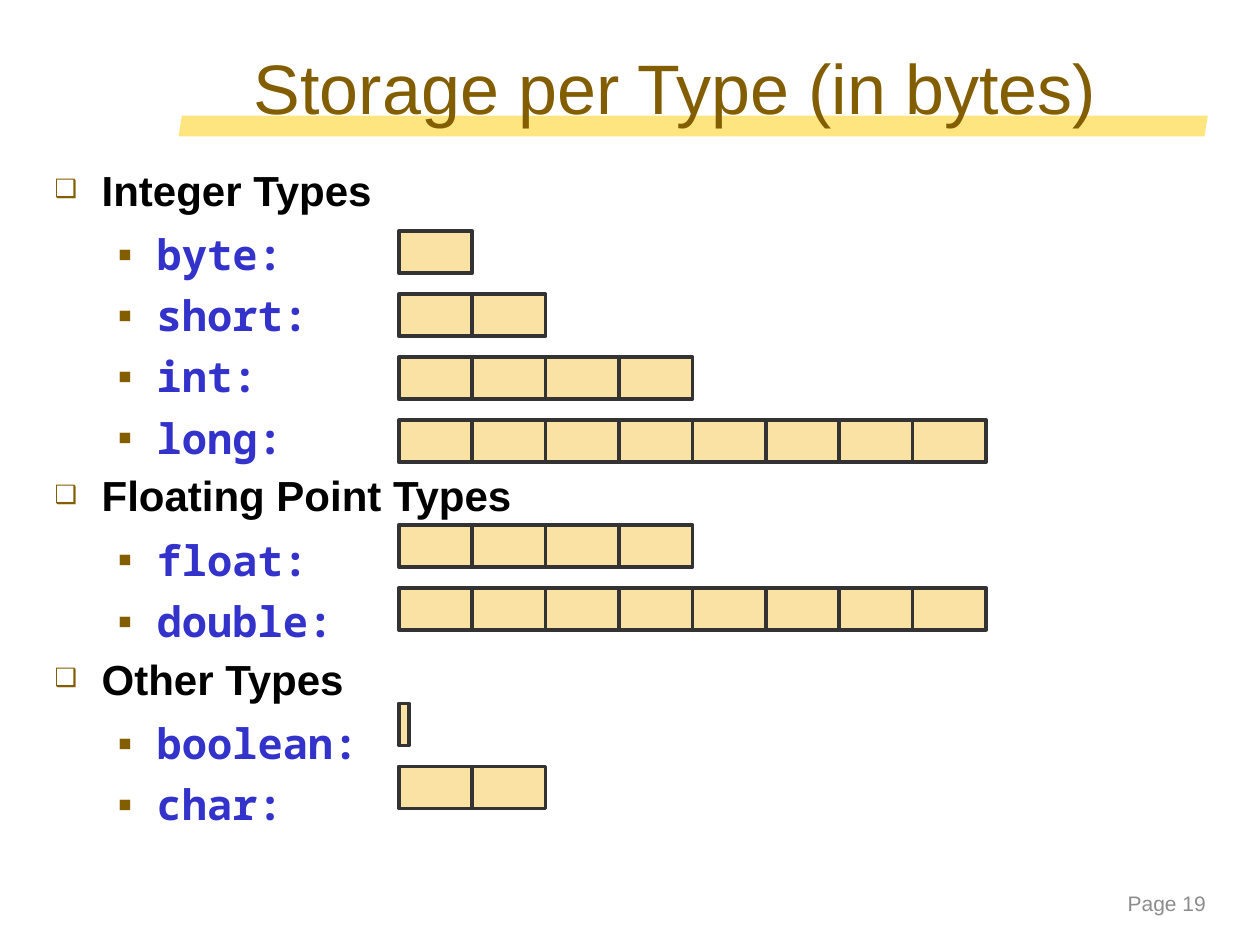
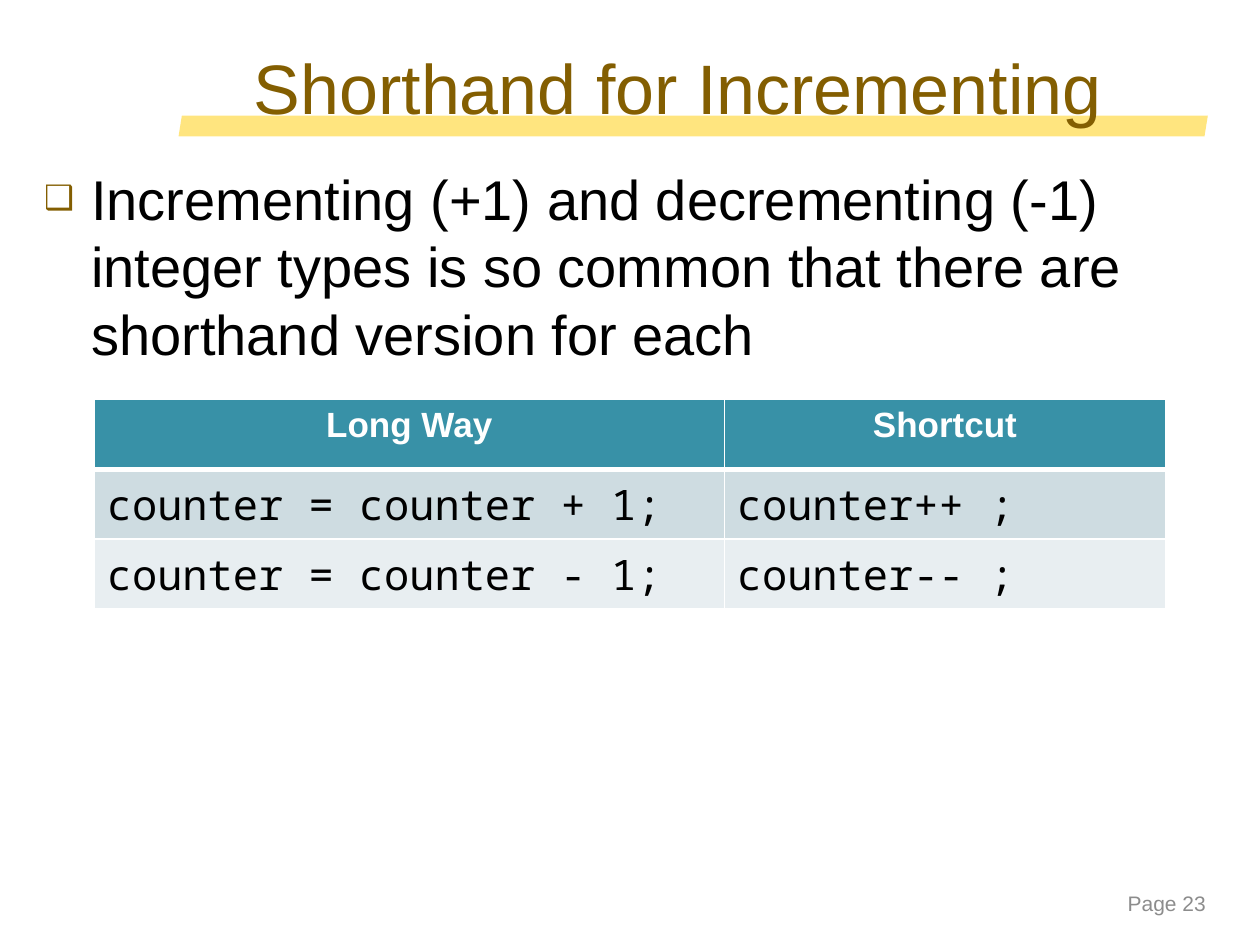
"""Two lesson slides: storage size per type, and shorthand for incrementing."""
from lxml.etree import SubElement as Sub
from pptx import Presentation
from pptx.dml.color import RGBColor as RGB
from pptx.enum.shapes import MSO_SHAPE as Shape
from pptx.enum.text import MSO_ANCHOR as Anchor, PP_ALIGN as Align
from pptx.oxml.ns import qn
from pptx.util import Cm, Pt

BROWN = RGB(0x83, 0x5E, 0x01)
GOLD = RGB(0xFF, 0xCC, 0x00)
SAND = RGB(0xFA, 0xE1, 0xA4)
DARK = RGB(0x33, 0x33, 0x33)
BLUE = RGB(0x33, 0x33, 0xCC)
GRAY = RGB(0x8C, 0x8C, 0x8C)
BLACK = RGB(0, 0, 0)
WHITE = RGB(0xFF, 0xFF, 0xFF)
TEAL = RGB(0x38, 0x91, 0xA7)
BANDS = [RGB(0xCE, 0xDC, 0xE1), RGB(0xE8, 0xEE, 0xF1)]
SANS, MONO = "Arial", "Noto Sans Mono"

LEFT, WIDTH, HEIGHT, PITCH = 8.04, 1.48, 0.85, 1.27
BIT = 0.21
GROUPS = [
    ("Integer Types", 4.66, [("byte:", 1), ("short:", 2), ("int:", 4), ("long:", 8)]),
    ("Floating Point Types", 10.58, [("float:", 4), ("double:", 8)]),
    ("Other Types", 14.18, [("boolean:", 0), ("char:", 2)]),
]
ROWS = [
    ("Long Way", "Shortcut"),
    ("counter = counter + 1;", "counter++ ;"),
    ("counter = counter - 1;", "counter-- ;"),
]


def style(para, size, color, face=SANS, bold=False):
    """Set the font of a paragraph."""
    font = para.font
    font.size, font.name, font.bold = Pt(size), face, bold
    font.color.rgb = color


def frame(slide, x, y, w, h, anchor=Anchor.TOP):
    """Add a wrapping text box and return its text frame."""
    text = slide.shapes.add_textbox(Cm(x), Cm(y), Cm(w), Cm(h)).text_frame
    text.word_wrap = True
    text.vertical_anchor = anchor
    return text


def bullet(para, sign, margin, hang, scale):
    """Give a paragraph a hanging brown bullet."""
    props = para._p.get_or_add_pPr()
    props.set("marL", str(Cm(margin)))
    props.set("indent", str(-Cm(hang)))
    Sub(Sub(props, qn("a:buClr")), qn("a:srgbClr"), val=str(BROWN))
    Sub(props, qn("a:buSzPct"), val=str(scale * 1000))
    Sub(props, qn("a:buFont"), typeface=SANS)
    Sub(props, qn("a:buChar"), char=sign)


def head(para, text, size, line, bold=False):
    """Write a top-level bulleted paragraph."""
    para.text = text
    para.line_spacing = Pt(line)
    para.space_before, para.space_after = Pt(4), Pt(2)
    bullet(para, "❑", 0.95, 0.95, 60)
    style(para, size, BLACK, bold=bold)


def item(para, text):
    """Write a second-level paragraph naming a type."""
    para.text, para.level = text, 1
    para.line_spacing, para.space_before = Pt(28.9), Pt(6)
    bullet(para, "▪", 2.06, 0.79, 100)
    style(para, 24, BLUE, MONO, True)


def box(slide, kind, x, y, w, h, color):
    """Add a flat filled shape without a line."""
    shape = slide.shapes.add_shape(kind, Cm(x), Cm(y), Cm(w), Cm(h))
    shape.shadow.inherit = False
    shape.fill.solid()
    shape.fill.fore_color.rgb = color
    shape.line.fill.background()
    return shape


def base(deck, title, page):
    """Add a slide with the gold stroke, title and page number."""
    slide = deck.slides.add_slide(deck.slide_layouts[6])
    stroke = box(slide, Shape.PARALLELOGRAM, 3.6, 2.33, 20.75, 0.42, GOLD)
    stroke.adjustments[0] = 0.16
    tint = stroke._element.spPr.find(".//" + qn("a:srgbClr"))
    Sub(tint, qn("a:alpha"), val="50000")
    para = frame(slide, 4.87, 0.76, 19.69, 1.98, Anchor.MIDDLE).paragraphs[0]
    para.text = title
    style(para, 40, BROWN)
    para = frame(slide, 20.11, 17.78, 4.45, 0.85, Anchor.MIDDLE).paragraphs[0]
    para.text, para.alignment = f"Page {page}", Align.RIGHT
    style(para, 12, GRAY)
    return slide


def cells(slide, y, count):
    """Draw one box per byte, or a sliver for less than a byte."""
    for i in range(max(count, 1)):
        wide = WIDTH if count else BIT
        cell = box(slide, Shape.RECTANGLE, LEFT + i * WIDTH, y, wide, HEIGHT, SAND)
        cell.line.color.rgb = DARK
        cell.line.width = Pt(2)


def sizes(slide):
    """List the types by group, with their bytes beside them."""
    text = frame(slide, 0.85, 3.18, 22.86, 13.44)
    para = text.paragraphs[0]
    for name, top, kinds in GROUPS:
        if para.text:
            para = text.add_paragraph()
        head(para, name, 24, 28.9, True)
        for i, (kind, count) in enumerate(kinds):
            item(text.add_paragraph(), kind)
            cells(slide, top + i * PITCH, count)


def edge(cell, side, width):
    """Draw a white border on one side of a cell."""
    line = Sub(cell._tc.get_or_add_tcPr(), qn("a:" + side), w=str(Pt(width)))
    Sub(Sub(line, qn("a:solidFill")), qn("a:srgbClr"), val=str(WHITE))


def grid(slide):
    """Add the table of long and short forms."""
    spot = Cm(1.9), Cm(8.05), Cm(21.6), Cm(4.23)
    table = slide.shapes.add_table(len(ROWS), 2, *spot).table
    for col, wide in zip(table.columns, (12.7, 8.9)):
        col.width = Cm(wide)
    for r, row in enumerate(ROWS):
        for c, text in enumerate(row):
            cell = table.cell(r, c)
            for side in ("lnL", "lnR", "lnT", "lnB"):
                thick = (r, side) in ((0, "lnB"), (1, "lnT"))
                edge(cell, side, 3 if thick else 1)
            cell.fill.solid()
            cell.fill.fore_color.rgb = BANDS[r - 1] if r else TEAL
            para = cell.text_frame.paragraphs[0]
            para.text = text
            if r:
                style(para, 24, BLACK, MONO)
            else:
                para.alignment = Align.CENTER
                style(para, 20, WHITE, bold=True)


def main():
    """Build and save both slides."""
    deck = Presentation()
    deck.slide_width, deck.slide_height = Cm(25.4), Cm(19.05)
    sizes(base(deck, "Storage per Type (in bytes)", 19))
    slide = base(deck, "Shorthand for Incrementing", 23)
    para = frame(slide, 0.64, 3.18, 23.5, 5.72).paragraphs[0]
    head(para, "Incrementing (+1) and decrementing (-1) integer types is so "
         "common that there are shorthand version for each", 32, 38.6)
    grid(slide)
    deck.save("out.pptx")


if __name__ == "__main__":
    main()
